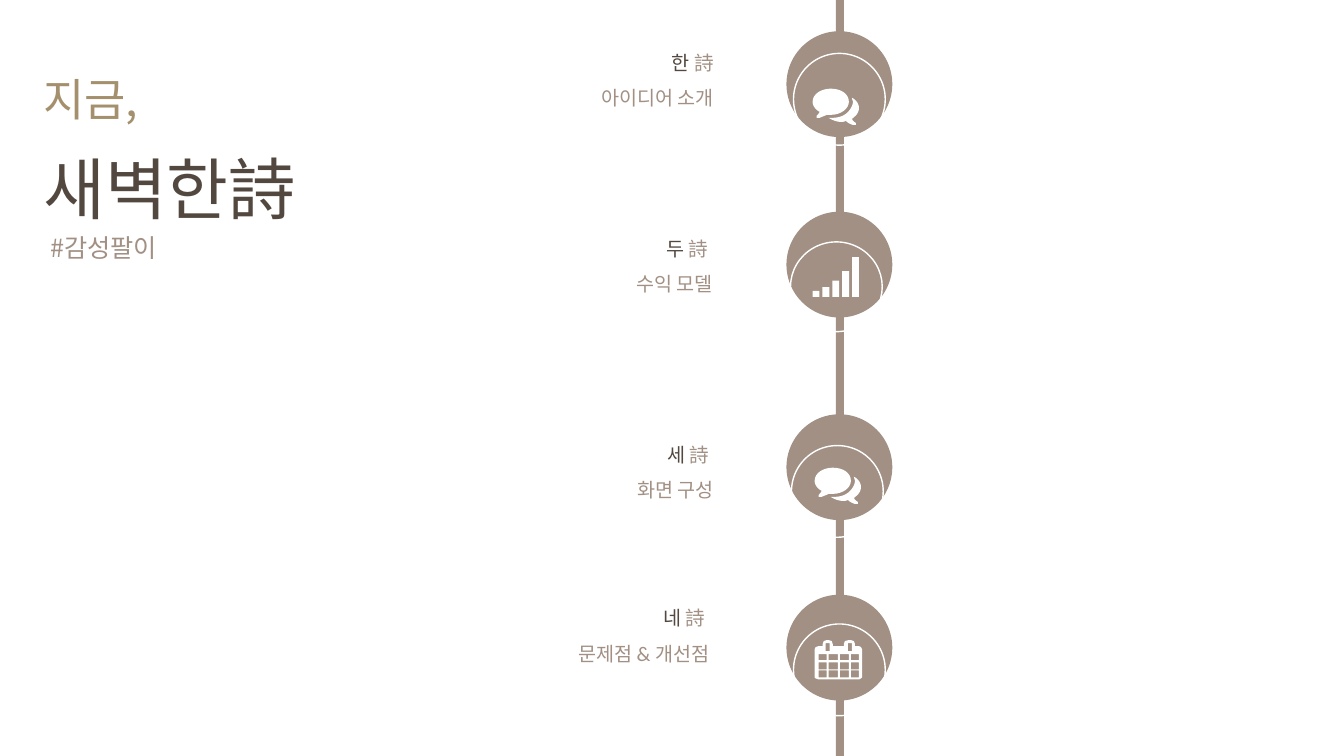
from lxml import etree
from pptx import Presentation
from pptx.dml.color import RGBColor
from pptx.enum.shapes import MSO_SHAPE as Shape
from pptx.enum.text import MSO_ANCHOR as Anchor, MSO_AUTO_SIZE as AutoSize, PP_ALIGN as Align
from pptx.oxml.ns import qn
from pptx.util import Inches, Pt

TAUPE, BROWN, GOLD, WHITE = "A19083", "53483F", "A4906C", "FFFFFF"
NOTO, LATO = "Noto Sans CJK KR", "Lato"


def write(box, place, lines, wrap=True, align=Align.LEFT, spacing=1.0):
    """Fill a box with lines, each a list of (text, size, font, colour) spans."""
    box.left, box.top, box.width, box.height = map(Inches, place)
    frame = box.text_frame
    frame.clear()
    settings = {"word_wrap": wrap, "auto_size": AutoSize.NONE, "vertical_anchor": Anchor.TOP}
    for name, value in settings.items():
        setattr(frame, name, value)
    for index, line in enumerate(lines):
        para = frame.add_paragraph() if index else frame.paragraphs[0]
        para.alignment, para.line_spacing = align, spacing
        for text, size, font, colour in line:
            span = para.add_run()
            span.text = text
            span.font.size, span.font.name = Pt(size), font
            span.font.color.rgb = RGBColor.from_string(colour)
            east_asian = etree.SubElement(span.font._element, qn("a:ea"))
            east_asian.set("typeface", NOTO)


def paint(shape, fill=None, line=None):
    shape.shadow.inherit = False
    for part, colour in ((shape.fill, fill), (shape.line.fill, line)):
        if colour:
            part.solid()
            part.fore_color.rgb = RGBColor.from_string(colour)
        else:
            part.background()


deck = Presentation()
deck.slide_width, deck.slide_height = Inches(13.33), Inches(7.5)
page = deck.slides.add_slide(deck.slide_layouts[5])
shapes = page.shapes

# Heading
write(shapes.title, (0.33, 1.41, 3.01, 0.94), [[("새벽한詩", 48, NOTO, BROWN)]], wrap=False)
for text, size, colour, place in (
    ("지금,", 32, GOLD, (0.33, 0.66, 2.21, 0.64)),
    ("#감성팔이", 18, TAUPE, (0.4, 2.26, 1.36, 0.4)),
):
    box = shapes.add_textbox(0, 0, 0, 0)
    write(box, place, [[(text, size, NOTO, colour)]], wrap=False)

# Icon outlines, in hundredths of an inch from each icon's corner.
# Each bubble is a start point followed by cubic curves (two controls and an end).
bubble_curves = [
    ((18, 26), [
        (17, 26, 15, 26, 14, 26), (12, 27, 9, 28, 7, 29), (6, 29, 5, 29, 4, 29),
        (4, 28, 4, 28, 4, 27), (5, 26, 6, 25, 7, 23), (3, 21, 0, 17, 0, 13),
        (0, 5, 9, 0, 18, 0), (28, 0, 36, 5, 36, 13), (36, 20, 28, 26, 18, 26),
    ]),
    ((39, 30), [
        (40, 32, 41, 33, 43, 34), (43, 34, 43, 35, 43, 35), (43, 36, 43, 36, 42, 36),
        (41, 36, 40, 36, 40, 36), (37, 35, 35, 34, 33, 32), (31, 33, 30, 33, 28, 33),
        (24, 33, 19, 31, 16, 29), (17, 29, 18, 29, 18, 29), (24, 29, 29, 28, 33, 25),
        (37, 22, 40, 17, 40, 13), (40, 12, 39, 10, 39, 9), (43, 11, 46, 15, 46, 19),
        (46, 24, 43, 27, 39, 30),
    ]),
]
bubbles = []
for start, curves in bubble_curves:
    points = [start]
    for x1, y1, x2, y2, x3, y3 in curves:
        x0, y0 = points[-1]
        for step in range(1, 9):
            t = step / 8
            u = 1 - t
            points.append((
                u**3 * x0 + 3 * u * u * t * x1 + 3 * u * t * t * x2 + t**3 * x3,
                u**3 * y0 + 3 * u * u * t * y1 + 3 * u * t * t * y2 + t**3 * y3,
            ))
    bubbles.append(points)

bars = []
for index, top in enumerate((33.5, 30, 23.5, 14, 0)):
    left = index * 9.8
    bars.append([(left, top), (left + 6.8, top), (left + 6.8, 39.5), (left, 39.5)])

calendar = [[
    (4, 39), (1, 38), (0, 37), (0, 9), (1, 7), (4, 6), (8, 6), (8, 4), (9, 1), (12, 0),
    (14, 0), (17, 1), (18, 4), (18, 6), (29, 6), (29, 4), (30, 1), (34, 0), (36, 0),
    (39, 1), (40, 4), (40, 6), (44, 6), (46, 7), (47, 9), (47, 37), (46, 38), (44, 39),
]]
day_columns = ((4, 12), (14, 23), (25, 34), (36, 44))
day_rows = ((14, 20), (22, 29), (30, 37))
holes = [(column, row) for column in day_columns for row in day_rows]
holes += [(slot, (3, 11)) for slot in ((11, 15), (33, 37))]
for (left, right), (top, bottom) in holes:
    calendar.append([(left, top), (left, bottom), (right, bottom), (right, top)])

# Timeline
rail = shapes.add_shape(Shape.RECTANGLE, Inches(8.29), 0, Inches(0.08), deck.slide_height)
paint(rail, fill=TAUPE)

# first line, its font, second line, text corner, disc top, ring place, icon, icon corner
stops = [
    ("한 ", "詩", NOTO, "아이디어 소개", (3.96, 0.34), 0.31, (7.87, 0.53, 0.91, 0.91),
     bubbles, (8.06, 0.88)),
    ("두 ", "詩 ", LATO, "수익 모델", (3.95, 2.18), 2.1, (7.84, 2.4, 0.91, 0.89),
     bars, (8.06, 2.55)),
    ("세 ", "詩 ", LATO, "화면 구성", (3.96, 4.23), 4.11, (7.85, 4.42, 0.91, 0.91),
     bubbles, (8.08, 4.64)),
    ("네 ", "詩 ", LATO, "문제점 & 개선점", (3.92, 5.85), 5.9, (7.87, 6.19, 0.91, 0.91),
     calendar, (8.08, 6.35)),
]
for number, poem, font, topic, corner, disc_top, ring_place, icon, (icon_x, icon_y) in stops:
    disc = shapes.add_shape(
        Shape.OVAL, Inches(7.8), Inches(disc_top), Inches(1.05), Inches(1.05))
    paint(disc, fill=TAUPE)

    box = shapes.add_textbox(0, 0, 0, 0)
    lines = [
        [(number, 14, font, BROWN), (poem, 14, font, TAUPE)],
        [(topic, 14, LATO, TAUPE)],
    ]
    write(box, (*corner, 3.22, 0.76), lines, align=Align.RIGHT, spacing=1.5)

    builder = None
    for contour in icon:
        points = [(Inches(icon_x + x / 100), Inches(icon_y + y / 100)) for x, y in contour]
        if builder is None:
            builder = shapes.build_freeform(*points[0])
        else:
            builder.move_to(*points[0])
        builder.add_line_segments(points[1:], close=True)
    paint(builder.convert_to_shape(), fill=WHITE)

    ring = shapes.add_shape(Shape.OVAL, *map(Inches, ring_place))
    paint(ring, line=WHITE)
    ring.line.width = Pt(1)

deck.save("out.pptx")
